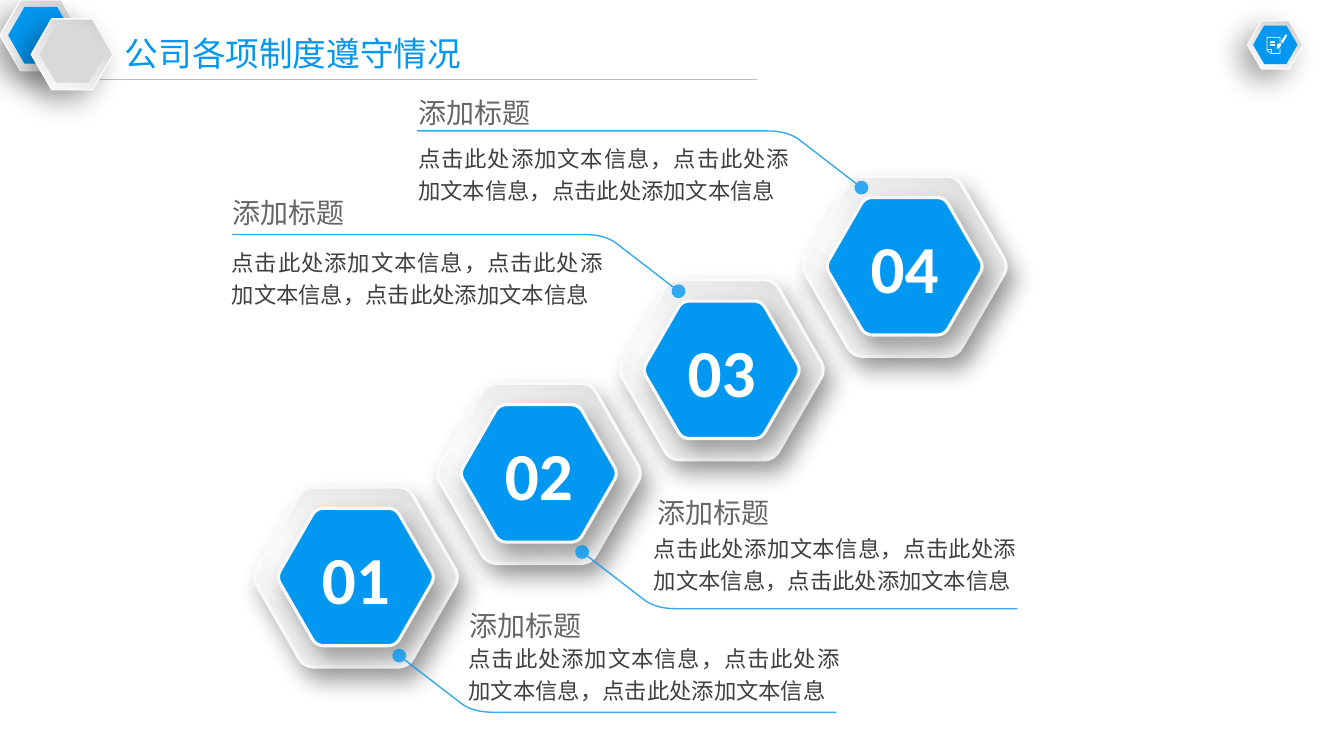
from math import cos, radians, sin

from lxml.etree import SubElement
from pptx import Presentation
from pptx.dml.color import RGBColor
from pptx.enum.shapes import MSO_CONNECTOR, MSO_SHAPE
from pptx.enum.text import MSO_AUTO_SIZE, PP_ALIGN
from pptx.oxml.ns import qn
from pptx.util import Cm, Pt

BLUE, RIM, WHITE = "0297F0", "FAFAFA", "FFFFFF"
CJK = "Noto Sans CJK SC"
HEADING = "添加标题"
BODY = "点击此处添加文本信息，" * 2 + "点击此处添加文本信息"
BADGE_GRADIENT = [(0, "CCCCCC"), (100, "FCFCFC")], 120
TILE_GRADIENT = [(0, "DBDBDB"), (60, "F9F9F9"), (93, "ECECEC")], 130
BADGE_SHADOW = "000000", 34, 20, 10, 136
TILE_SHADOW = "1A1A1A", 40, 16, 10, 60


def rgb(value):
    return RGBColor.from_string(value)


def add_color(parent, value, alpha=100):
    clr = SubElement(parent, qn("a:srgbClr"), val=value)
    if alpha < 100:
        SubElement(clr, qn("a:alpha"), val=str(alpha * 1000))


def set_gradient(s, stops, angle):
    s.fill.gradient()
    s.fill.gradient_angle = 360 - angle
    gs_list = s._element.spPr.find(qn("a:gradFill")).find(qn("a:gsLst"))
    gs_list.clear()
    for pos, value in stops:
        add_color(SubElement(gs_list, qn("a:gs"), pos=str(pos * 1000)), value)


def set_shadow(s, value, alpha, blur, dist, angle):
    effects = s._element.spPr.find(qn("a:effectLst"))
    outer = SubElement(effects, qn("a:outerShdw"), blurRad=str(Pt(blur)), dist=str(Pt(dist)),
                       dir=str(angle * 60000), algn="ctr", rotWithShape="0")
    add_color(outer, value, alpha)


def style(s, fill=None, line=None, width=1, gradient=None, shadow=None):
    s.shadow.inherit = False
    if gradient:
        set_gradient(s, *gradient)
    elif fill:
        s.fill.solid()
        s.fill.fore_color.rgb = rgb(fill)
    else:
        s.fill.background()
    if line:
        s.line.color.rgb = rgb(line)
        s.line.width = Pt(width)
    else:
        s.line.fill.background()
    if shadow:
        set_shadow(s, *shadow)
    return s


def add_outline(shapes, points, close=True):
    points = [(Cm(x), Cm(y)) for x, y in points]
    builder = shapes.build_freeform(*points[0], scale=1.0)
    builder.add_line_segments(points[1:], close=close)
    return builder.convert_to_shape()


def add_line(shapes, x1, y1, x2, y2, color, width):
    c = shapes.add_connector(MSO_CONNECTOR.STRAIGHT, Cm(x1), Cm(y1), Cm(x2), Cm(y2))
    c.line.color.rgb = rgb(color)
    c.line.width = Pt(width)
    SubElement(c._element.spPr, qn("a:effectLst"))


def bend(start, corner, end, steps=8):
    return [tuple((1 - t) ** 2 * a + 2 * t * (1 - t) * b + t * t * c
                  for a, b, c in zip(start, corner, end))
            for t in (i / steps for i in range(steps + 1))]


def rounded_hexagon(cx, cy, radius, rounding=0.1):
    corners = [(cx + radius * cos(radians(a)), cy + radius * sin(radians(a)))
               for a in range(0, 360, 60)]
    points = []
    for i, corner in enumerate(corners):
        before, after = ([c + (n - c) * rounding for c, n in zip(corner, near)]
                         for near in (corners[i - 1], corners[(i + 1) % 6]))
        points += bend(before, corner, after)
    return points


def add_text(shapes, text, x, y, w, h, size, color, font=CJK, wrap=True,
             align=PP_ALIGN.LEFT, bold=False, spacing=None):
    tf = shapes.add_textbox(Cm(x), Cm(y), Cm(w), Cm(h)).text_frame
    tf.word_wrap = wrap
    tf.auto_size = MSO_AUTO_SIZE.SHAPE_TO_FIT_TEXT
    p = tf.paragraphs[0]
    p.text = text
    p.alignment = align
    if spacing:
        p.line_spacing = spacing
    p.font.size = Pt(size)
    p.font.bold = bold
    p.font.color.rgb = rgb(color)
    p.font.name = font
    SubElement(p._p.pPr.find(qn("a:defRPr")), qn("a:ea"), typeface=font)


def add_badge(shapes, cx, cy, width, core):
    for scale, look in ((1, dict(gradient=BADGE_GRADIENT, line=RIM, shadow=BADGE_SHADOW)),
                        (0.8, dict(fill=core))):
        w = width * scale
        h = w * sin(radians(60))
        s = shapes.add_shape(MSO_SHAPE.HEXAGON, Cm(cx - w / 2), Cm(cy - h / 2), Cm(w), Cm(h))
        s.adjustments[0] = 0.2887
        style(s, **look)


def add_note_icon(shapes):
    page = [(32.26, 1.04), (32.26, 0.94), (31.93, 0.94), (31.93, 1.27),
            (32.03, 1.35), (32.26, 1.35), (32.26, 1.22)]
    fold = [(31.93, 1.25), (32.03, 1.25), (32.03, 1.35)]
    for points in (page, fold):
        style(add_outline(shapes, points, close=False), line=WHITE, width=0.5)
    for i in range(4):
        y = 1.04 + 0.035 * i
        add_line(shapes, 32, y, 32.13, y, WHITE, 0.25)
    shaft = [(32.41, 0.86), (32.28, 1.04), (32.33, 1.09), (32.44, 0.89)]
    collar = [(32.26, 1.06), (32.31, 1.09), (32.3, 1.1), (32.25, 1.07)]
    nib = [(32.24, 1.09), (32.29, 1.12), (32.26, 1.19), (32.18, 1.24), (32.18, 1.12)]
    for points in (shaft, collar, nib):
        style(add_outline(shapes, points), fill=WHITE)


def add_tile(shapes, cx, cy, number):
    style(add_outline(shapes, rounded_hexagon(cx, cy, 2.62)), gradient=TILE_GRADIENT,
          line=RIM, width=2.25, shadow=TILE_SHADOW)
    style(add_outline(shapes, rounded_hexagon(cx, cy, 2)), fill=BLUE,
          line=RIM, width=2.25, shadow=TILE_SHADOW)
    add_text(shapes, f"{number:02}", cx - 1.14, cy - 1.13, 2.28, 2.31, 48, WHITE,
             font="Calibri", wrap=False, align=PP_ALIGN.CENTER, bold=True)


def add_callout(shapes, cx, cy, side, length):
    offsets = [(0, 0), *bend((1.57, 1.21), (1.86, 1.43), (2.39, 1.43)), (length, 1.43)]
    points = [(cx + side * (1.09 + dx), cy + side * (1.98 + dy)) for dx, dy in offsets]
    s = style(add_outline(shapes, points, close=False), line=BLUE)
    ln = s.line._get_or_add_ln()
    SubElement(ln.find(qn("a:solidFill"))[0], qn("a:alpha"), val="80000")
    SubElement(ln, qn("a:headEnd"), type="oval", w="lg", len="lg")


def main():
    prs = Presentation()
    prs.slide_width, prs.slide_height = Cm(33.87), Cm(19.05)
    shapes = prs.slides.add_slide(prs.slide_layouts[6]).shapes

    add_line(shapes, 2.06, 2.01, 19.08, 2.01, "BFBFBF", 1)
    add_badge(shapes, 1.03, 0.89, 2.06, BLUE)
    add_badge(shapes, 1.82, 1.37, 2.06, "D9D9D9")
    add_text(shapes, "公司各项制度遵守情况", 2.9, 0.71, 9.58, 1.27, 24, BLUE)
    add_badge(shapes, 32.14, 1.13, 1.4, BLUE)
    add_note_icon(shapes)

    items = [
        (1, 11.02, (11.58, 15.21), (11.56, 16), 9.86),
        (1, 10.97, (16.33, 12.37), (16.23, 13.23), 9.65),
        (-1, 11.25, (5.61, 4.8), (5.59, 6.02), 9.86),
        (-1, 11.2, (10.29, 2.29), (10.29, 3.4), 9.86),
    ]
    centres = [(8.97 + 4.61 * i, 14.54 - 2.61 * i) for i in range(len(items))]
    for number, centre in enumerate(centres, 1):
        add_tile(shapes, *centre, number)
    for centre, (side, length, heading_at, body_at, body_width) in zip(centres, items):
        add_callout(shapes, *centre, side, length)
        add_text(shapes, HEADING, *heading_at, 3.35, 1.12, 20, "666666", wrap=False)
        add_text(shapes, BODY, *body_at, body_width, 1.9, 16, "404040",
                 align=PP_ALIGN.JUSTIFY, spacing=1.2)

    prs.save("out.pptx")


main()
